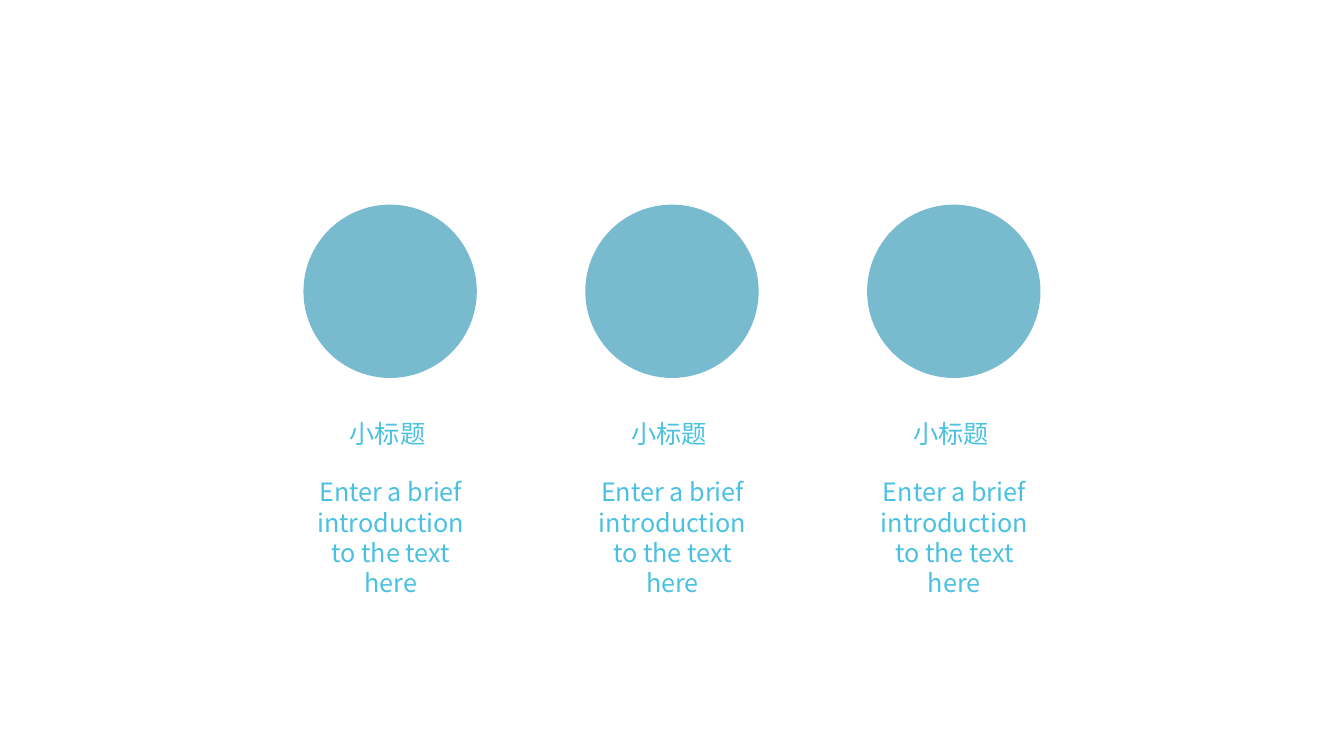
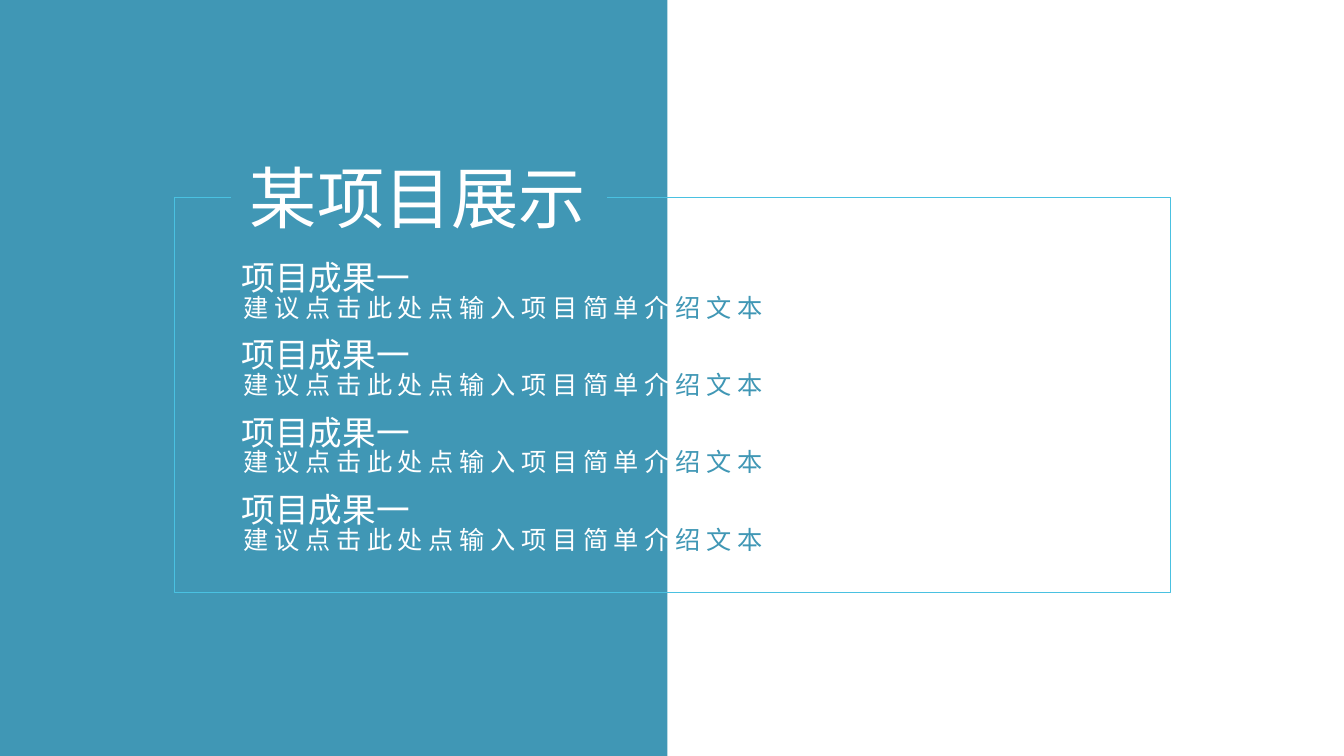
"""Build a three-circle overview and a project results slide."""
from dataclasses import dataclass, replace

from lxml.etree import SubElement
from pptx import Presentation
from pptx.dml.color import RGBColor
from pptx.enum.shapes import MSO_SHAPE
from pptx.enum.text import MSO_AUTO_SIZE, PP_ALIGN
from pptx.oxml.ns import qn
from pptx.slide import Slide
from pptx.util import Inches, Pt

WIDE, HIGH = Inches(13.33), Inches(7.5)
FONT = "Noto Sans CJK SC"
WHITE, TEAL, PALE, CYAN = "FFFFFF", "4097B5", "78BACE", "4AC1E1"
COLS, ROWS = 3, 4
COL_STEP, ROW_STEP = 20.97, 10.22


@dataclass(frozen=True)
class Area:
    """Hold a box as percentages of the slide."""
    x: float
    y: float
    w: float
    h: float

    def move(self, right: float = 0, down: float = 0) -> "Area":
        """Return the box shifted by percentages."""
        return replace(self, x=self.x + right, y=self.y + down)

    def span(self) -> tuple[int, int, int, int]:
        """Return left, top, width and height in slide units."""
        return (int(WIDE * self.x / 100), int(HIGH * self.y / 100),
                int(WIDE * self.w / 100), int(HIGH * self.h / 100))


@dataclass(frozen=True)
class Part:
    """Hold a stretch of text and its colour."""
    text: str
    tint: str


CIRCLE = Area(22.58, 27.07, 12.9, 22.93)
LABEL = Area(25.28, 54.67, 7.65, 5.33)
INTRO = Area(22.28, 62.4, 13.58, 13.47)

PANEL = Area(0, 0, 49.66, 100)
FRAME = Area(12.98, 26.13, 74.12, 52.27)
PLATE = Area(17.25, 17.87, 27.83, 16.67)
TITLE = Area(17.85, 20, 26.78, 12.13)
RESULT = Area(17.25, 33.33, 24.38, 6.67)
DETAIL = Area(17.4, 38, 40.44, 5.33)


def color(code: str) -> RGBColor:
    """Turn a hex string into a colour."""
    return RGBColor.from_string(code)


def draw(slide: Slide, kind: MSO_SHAPE, area: Area,
         fill: str | None = None, line: str | None = None) -> None:
    """Draw a preset shape with an optional fill and line."""
    shape = slide.shapes.add_shape(kind, *area.span())
    shape.shadow.inherit = False
    if fill:
        shape.fill.solid()
        shape.fill.fore_color.rgb = color(fill)
    else:
        shape.fill.background()
    if line:
        shape.line.color.rgb = color(line)
        shape.line.width = Pt(1)
    else:
        shape.line.fill.background()


def write(slide: Slide, area: Area, *parts: Part, size: float = 18,
          align: PP_ALIGN = PP_ALIGN.LEFT, wrap: bool = True) -> None:
    """Write one paragraph of coloured parts in a text box."""
    frame = slide.shapes.add_textbox(*area.span()).text_frame
    frame.word_wrap = wrap
    frame.auto_size = MSO_AUTO_SIZE.SHAPE_TO_FIT_TEXT
    para = frame.paragraphs[0]
    para.alignment = align
    for part in parts:
        run = para.add_run()
        run.text = part.text
        run.font.size = Pt(size)
        run.font.color.rgb = color(part.tint)
        run.font.name = FONT
        SubElement(run.font._element, qn("a:ea"), typeface=FONT)


def circles(slide: Slide) -> None:
    """Draw the columns of circles, labels and introductions."""
    for col in range(COLS):
        right = col * COL_STEP
        draw(slide, MSO_SHAPE.OVAL, CIRCLE.move(right), fill=PALE)
        write(slide, LABEL.move(right), Part("小标题", CYAN))
        write(slide, INTRO.move(right),
              Part("Enter a brief introduction to the text here", CYAN),
              align=PP_ALIGN.CENTER)


def results(slide: Slide) -> None:
    """Draw the panel, the framed title and the rows of results."""
    draw(slide, MSO_SHAPE.RECTANGLE, PANEL, fill=TEAL)
    draw(slide, MSO_SHAPE.RECTANGLE, FRAME, line=CYAN)
    draw(slide, MSO_SHAPE.RECTANGLE, PLATE, fill=TEAL, line=TEAL)
    write(slide, TITLE, Part("某项目展示", WHITE), size=48, wrap=False)
    for row in range(ROWS):
        down = row * ROW_STEP
        write(slide, RESULT.move(down=down), Part("项目成果一", WHITE),
              size=24, align=PP_ALIGN.JUSTIFY)
        write(slide, DETAIL.move(down=down),
              Part("建 议 点 击 此 处 点 输 入 项 目 简 单 介 ", WHITE),
              Part("绍 文 本", TEAL), wrap=False)


def main() -> None:
    """Build and save the deck."""
    deck = Presentation()
    deck.slide_width, deck.slide_height = WIDE, HIGH
    for build in (circles, results):
        build(deck.slides.add_slide(deck.slide_layouts[6]))
    deck.save("out.pptx")


if __name__ == "__main__":
    main()
